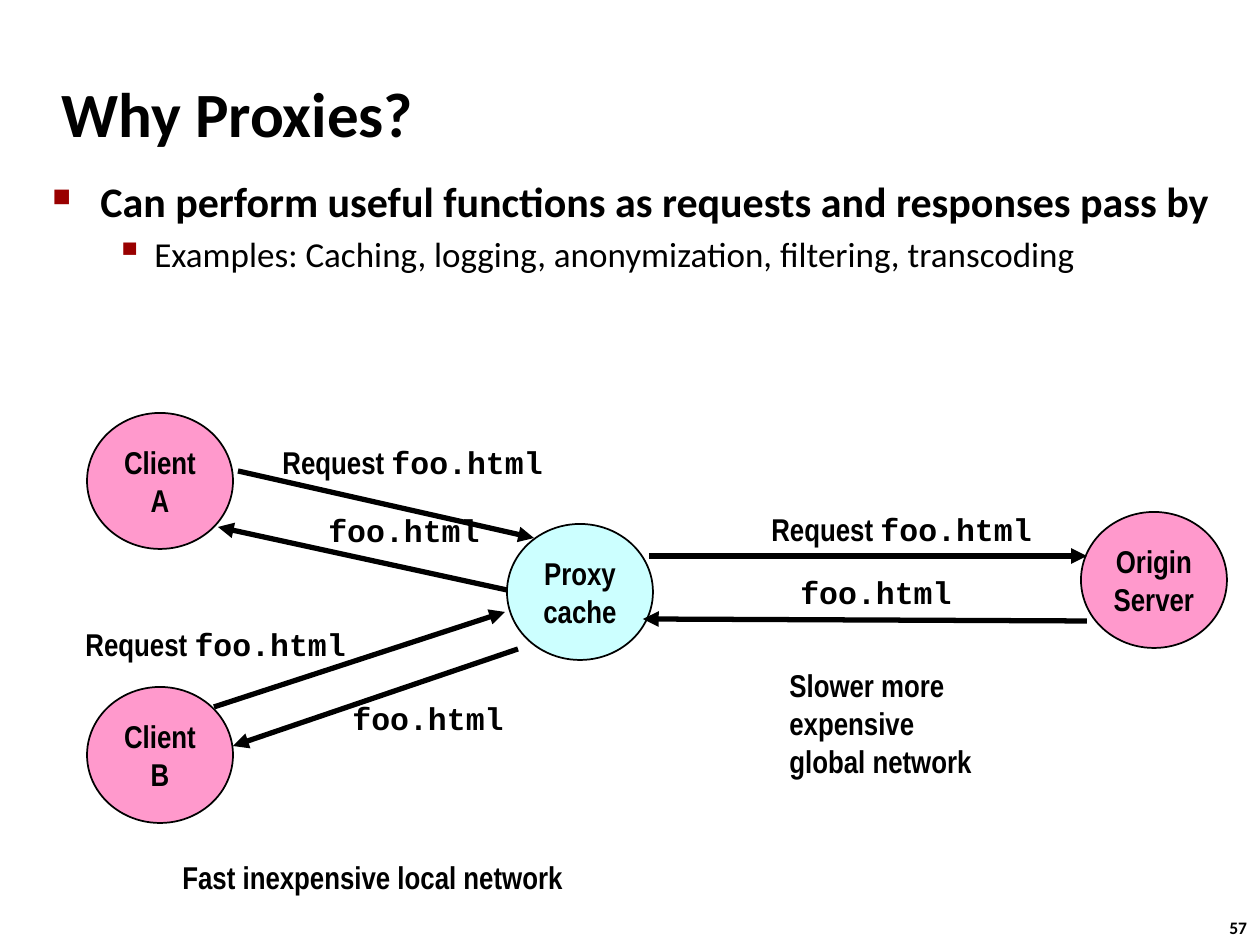
import pptx
import pptx.util
import pptx.dml.color
import pptx.enum.shapes
import pptx.enum.text
import pptx.oxml
import pptx.oxml.ns
from lxml import etree

PX = 914400 // 126
SANS, NARROW, MONO = "Calibri", "Arial Narrow", "Courier New"
CENTER = pptx.enum.text.PP_ALIGN.CENTER
MIDDLE = pptx.enum.text.MSO_ANCHOR.MIDDLE


def color(value):
    return pptx.dml.color.RGBColor.from_string(value)


def write(shape, lines, size=18, align=None, wrap=False, anchor=None, bold=True):
    """Each line is a list of (text, font name) runs."""
    frame = shape.text_frame
    frame.word_wrap = wrap
    if anchor is not None:
        frame.vertical_anchor = anchor
    for index, runs in enumerate(lines):
        paragraph = frame.paragraphs[0] if index == 0 else frame.add_paragraph()
        if align is not None:
            paragraph.alignment = align
        for text, font_name in runs:
            run = paragraph.add_run()
            run.text = text
            font_format = {"name": font_name, "size": pptx.util.Pt(size), "bold": bold}
            for name, value in font_format.items():
                setattr(run.font, name, value)
            run.font.color.rgb = color("000000")


presentation = pptx.Presentation()
presentation.slide_width = pptx.util.Inches(10)
presentation.slide_height = pptx.util.Inches(7.5)
slide = presentation.slides.add_slide(presentation.slide_layouts[6])

# Slide number and title
number = slide.shapes.add_textbox(1217 * PX, 911 * PX, 47 * PX, 34 * PX)
write(number, [[("57", SANS)]], size=10)
title = slide.shapes.add_textbox(49 * PX, 60 * PX, 1046 * PX, 105 * PX)
write(title, [[("Why Proxies?", SANS)]], size=36, wrap=True, anchor=MIDDLE)
title_properties = title.text_frame.paragraphs[0]._p.get_or_add_pPr()
title_properties.set("marL", str(16 * PX))
title_properties.set("indent", str(-16 * PX))

# Bulleted text: text, size, bold, level, left margin, indent, bullet, bullet percent
body = slide.shapes.add_textbox(40 * PX, 169 * PX, 1188 * PX, 228 * PX)
body.text_frame.word_wrap = True
bullets = [
    ("Can perform useful functions as requests and responses pass by",
     24, True, 0, 48, -48, "■", 60),
    ("Examples: Caching, logging, anonymization, filtering, transcoding",
     20, False, 1, 102, -39, "▪", 110),
]
for text, size, bold, level, margin, indent, bullet, percent in bullets:
    paragraph = body.text_frame.paragraphs[0] if level == 0 else body.text_frame.add_paragraph()
    paragraph.level = level
    if level:
        paragraph.space_before = pptx.util.Pt(size * 0.2)
    properties = paragraph._p.get_or_add_pPr()
    properties.set("marL", str(margin * PX))
    properties.set("indent", str(indent * PX))
    bullet_color = etree.SubElement(properties, pptx.oxml.ns.qn("a:buClr"))
    etree.SubElement(bullet_color, pptx.oxml.ns.qn("a:srgbClr"), val="990000")
    etree.SubElement(properties, pptx.oxml.ns.qn("a:buSzPct"), val=str(percent * 1000))
    etree.SubElement(properties, pptx.oxml.ns.qn("a:buChar"), char=bullet)
    run = paragraph.add_run()
    run.text = text
    font_format = {"name": SANS, "size": pptx.util.Pt(size), "bold": bold}
    for name, value in font_format.items():
        setattr(run.font, name, value)
    run.font.color.rgb = color("000000")

# Network nodes
nodes = [
    ("Client", "A", 87, 413, "FF99CC"),
    ("Proxy", "cache", 507, 524, "CCFFFF"),
    ("Origin", "Server", 1081, 512, "FF99CC"),
    ("Client", "B", 87, 687, "FF99CC"),
]
for first, second, left, top, fill in nodes:
    node = slide.shapes.add_shape(pptx.enum.shapes.MSO_SHAPE.OVAL,
                                  left * PX, top * PX, 146 * PX, 136 * PX)
    node.shadow.inherit = False
    node.fill.solid()
    node.fill.fore_color.rgb = color(fill)
    node.line.color.rgb = color("000000")
    node.line.width = pptx.util.Pt(1)
    write(node, [[(first, NARROW)], [(second, NARROW)]], align=CENTER, anchor=MIDDLE)

# Messages: line ends, arrowhead end, label position; each line grouped with its label
request = [("Request ", NARROW), ("foo.html", MONO)]
response = [("foo.html", MONO)]
messages = [
    (238, 471, 534, 538, "tailEnd", request, 270, 437),
    (649, 556, 1087, 556, "tailEnd", request, 759, 504),
    (643, 619, 1087, 621, "headEnd", response, 788, 567),
    (218, 527, 507, 590, "headEnd", response, 316, 505),
    (214, 707, 505, 612, "tailEnd", request, 73, 619),
    (233, 746, 518, 649, "headEnd", response, 340, 693),
]
for x1, y1, x2, y2, arrow_end, label_runs, left, top in messages:
    group = slide.shapes.add_group_shape()
    arrow = group.shapes.add_connector(pptx.enum.shapes.MSO_CONNECTOR.STRAIGHT,
                                       x1 * PX, y1 * PX, x2 * PX, y2 * PX)
    arrow.line.color.rgb = color("000000")
    arrow.line.width = pptx.util.Pt(3)
    etree.SubElement(arrow.line._get_or_add_ln(), pptx.oxml.ns.qn("a:" + arrow_end),
                     type="triangle")
    etree.SubElement(arrow._element.spPr, pptx.oxml.ns.qn("a:effectLst"))
    width = 287 if label_runs is request else 178
    label = group.shapes.add_textbox(left * PX, top * PX, width * PX, 50 * PX)
    write(label, [label_runs])

# Network captions
local = slide.shapes.add_textbox(170 * PX, 852 * PX, 411 * PX, 50 * PX)
write(local, [[("Fast inexpensive local network", NARROW)]])
remote = slide.shapes.add_textbox(777 * PX, 660 * PX, 233 * PX, 127 * PX)
write(remote, [[(text, NARROW)] for text in ("Slower more", "expensive", "global network")],
      wrap=True)

presentation.save("out.pptx")
